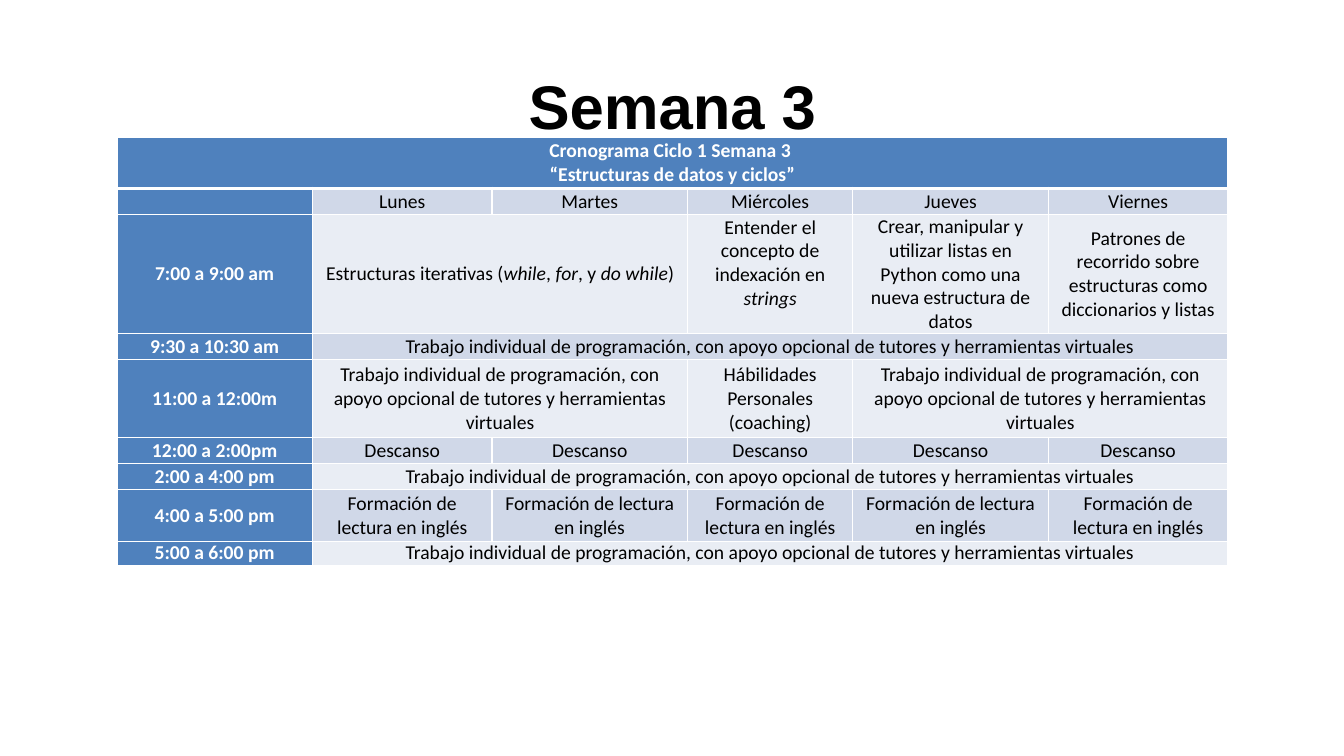
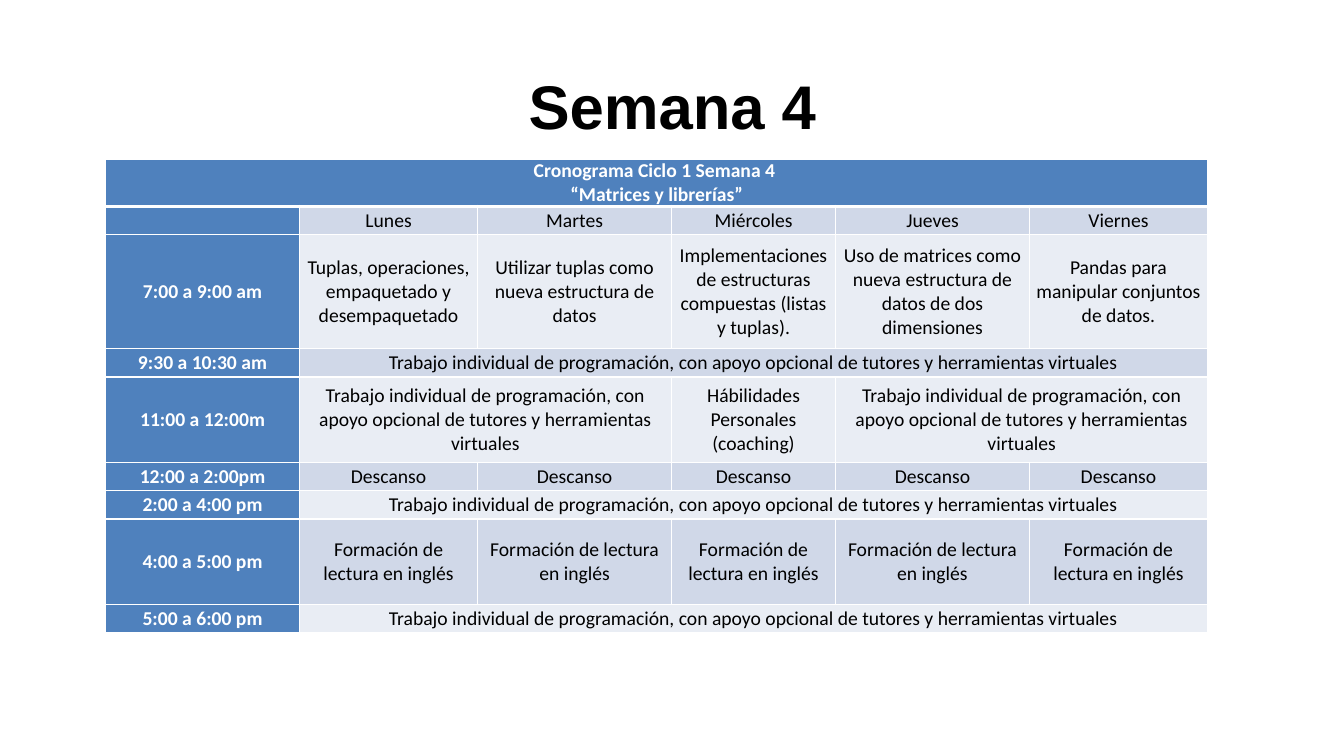
from lxml import etree
from pptx import Presentation
from pptx.dml.color import RGBColor
from pptx.enum.text import MSO_ANCHOR, PP_ALIGN
from pptx.oxml.ns import qn
from pptx.util import Inches, Pt

CENTER = PP_ALIGN.CENTER
TOP, MIDDLE = MSO_ANCHOR.TOP, MSO_ANCHOR.MIDDLE
BLUE = RGBColor(0x4F, 0x81, 0xBD)
DARK_BAND = RGBColor(0xD0, 0xD8, 0xE8)
LIGHT_BAND = RGBColor(0xE9, 0xED, 0xF4)
WHITE = RGBColor(0xFF, 0xFF, 0xFF)
BLACK = RGBColor(0x00, 0x00, 0x00)
TITLE_FONT, TABLE_FONT = "Arial", "Calibri"
TITLE_SIZE, TABLE_SIZE = Pt(44), Pt(14)

WORK = "Trabajo individual de programación, con apoyo opcional de tutores y herramientas virtuales"
COACHING = "Hábilidades Personales (coaching)"
DAYS = ["Lunes", "Martes", "Miércoles", "Jueves", "Viernes"]
AFTER_CLASS = [
    ("9:30 a 10:30 am", [(WORK, 5)]),
    ("11:00 a 12:00m", [(WORK, 2), (COACHING, 1), (WORK, 2)]),
    ("12:00 a 2:00pm", [("Descanso", 1)] * 5),
    ("2:00 a 4:00 pm", [(WORK, 5)]),
    ("4:00 a 5:00 pm", [("Formación de lectura en inglés", 1)] * 5),
    ("5:00 a 6:00 pm", [(WORK, 5)]),
]

WEEKS = [
    {
        "number": 3,
        "topic": "“Estructuras de datos y ciclos”",
        "corner": (1.16, 1.36),
        "columns": [1.94, 1.78, 1.94, 1.64, 1.94, 1.78],
        "rows": [0.51, 0.26, 1.18, 0.26, 0.77, 0.26, 0.26, 0.51, 0.24],
        "classes": [
            ("Estructuras iterativas (*while*, *for*, y *do while*)", 2),
            ("Entender el concepto de indexación en *strings*", 1),
            ("Crear, manipular y utilizar listas en Python como una nueva estructura de datos", 1),
            ("Patrones de recorrido sobre estructuras como diccionarios y listas", 1),
        ],
    },
    {
        "number": 4,
        "topic": "“Matrices y librerías”",
        "corner": (1.05, 1.58),
        "columns": [1.92, 1.77, 1.92, 1.63, 1.92, 1.77],
        "rows": [0.47, 0.28, 1.13, 0.28, 0.85, 0.28, 0.28, 0.85, 0.28],
        "classes": [
            ("Tuplas, operaciones, empaquetado y desempaquetado", 1),
            ("Utilizar tuplas como nueva estructura de datos", 1),
            ("Implementaciones de estructuras compuestas (listas y tuplas).", 1),
            ("Uso de matrices como nueva estructura de datos de dos dimensiones", 1),
            ("Pandas para manipular conjuntos de datos.", 1),
        ],
    },
]


def write(frame, text, font, size, color, bold):
    for index, line in enumerate(text.split("\n")):
        para = frame.paragraphs[0] if index == 0 else frame.add_paragraph()
        para.alignment = CENTER
        for order, piece in enumerate(line.split("*")):
            if piece:
                span = para.add_run()
                span.text = piece
                span.font.name = font
                span.font.size = size
                span.font.color.rgb = color
                span.font.bold = bold
                span.font.italic = order % 2 == 1
        end = etree.SubElement(para._p, qn("a:endParaRPr"))
        end.set("sz", str(int(size.pt * 100)))


def style_cell(cell, fill, top, bottom):
    cell.vertical_anchor = MIDDLE
    cell.margin_left = cell.margin_right = Inches(0.07)
    cell.margin_top = cell.margin_bottom = 0
    cell.fill.solid()
    cell.fill.fore_color.rgb = fill
    properties = cell._tc.get_or_add_tcPr()
    edges = [("a:lnL", 1), ("a:lnR", 1), ("a:lnT", top), ("a:lnB", bottom)]
    for position, (tag, width) in enumerate(edges):
        line = etree.Element(qn(tag), w=str(Pt(width)))
        solid = etree.SubElement(line, qn("a:solidFill"))
        etree.SubElement(solid, qn("a:srgbClr"), val=str(WHITE))
        properties.insert(position, line)


deck = Presentation()
deck.slide_width, deck.slide_height = Inches(13.33), Inches(7.5)

for week in WEEKS:
    page = deck.slides.add_slide(deck.slide_layouts[6])
    box = page.shapes.add_textbox(Inches(0.67), Inches(0.56), Inches(12), Inches(0.78))
    box.text_frame.word_wrap = True
    box.text_frame.vertical_anchor = TOP
    box.text_frame.margin_top = Inches(0.11)
    box.text_frame.margin_bottom = 0
    write(box.text_frame, f"Semana {week['number']}", TITLE_FONT, TITLE_SIZE, BLACK, True)

    left, top = week["corner"]
    widths, heights = week["columns"], week["rows"]
    table = page.shapes.add_table(
        len(heights), len(widths), Inches(left), Inches(top),
        Inches(sum(widths)), Inches(sum(heights)),
    ).table
    for column, width in zip(table.columns, widths):
        column.width = Inches(width)
    for row, height in zip(table.rows, heights):
        row.height = Inches(height)

    for row_index in range(len(heights)):
        band = DARK_BAND if row_index % 2 else LIGHT_BAND
        for column_index in range(len(widths)):
            fill = BLUE if row_index == 0 or column_index == 0 else band
            style_cell(table.cell(row_index, column_index), fill,
                       3 if row_index == 1 else 1, 3 if row_index == 0 else 1)

    heading = table.cell(0, 0)
    heading.merge(table.cell(0, len(widths) - 1))
    write(heading.text_frame, f"Cronograma Ciclo 1 Semana {week['number']} \n{week['topic']}",
          TABLE_FONT, TABLE_SIZE, WHITE, True)

    schedule = [("", [(day, 1) for day in DAYS]), ("7:00 a 9:00 am", week["classes"])] + AFTER_CLASS
    for row_index, (hours, activities) in enumerate(schedule, start=1):
        write(table.cell(row_index, 0).text_frame, hours, TABLE_FONT, TABLE_SIZE, WHITE, True)
        column_index = 1
        for activity, days in activities:
            cell = table.cell(row_index, column_index)
            if days > 1:
                cell.merge(table.cell(row_index, column_index + days - 1))
            write(cell.text_frame, activity, TABLE_FONT, TABLE_SIZE, BLACK, False)
            column_index += days

    if week["number"] == 3:
        table.cell(2, 3).margin_bottom = Inches(0.22)

deck.save("out.pptx")
